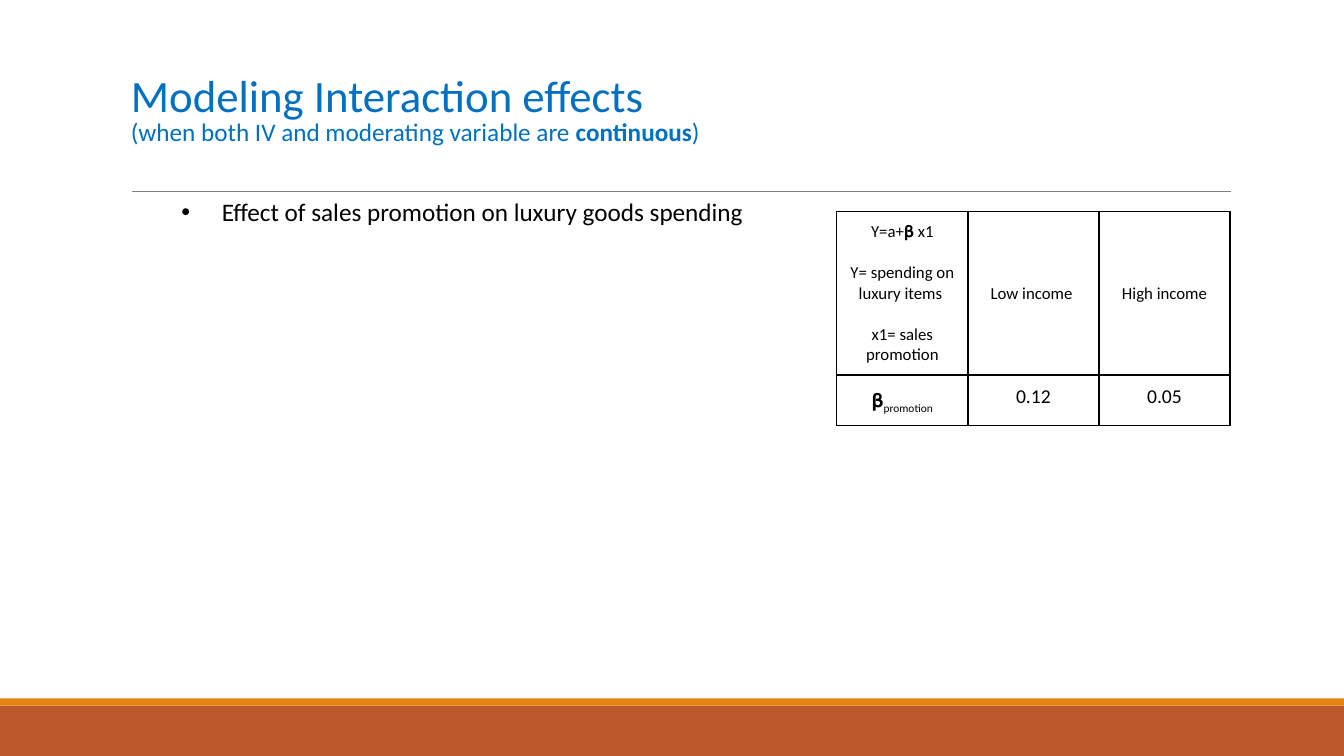
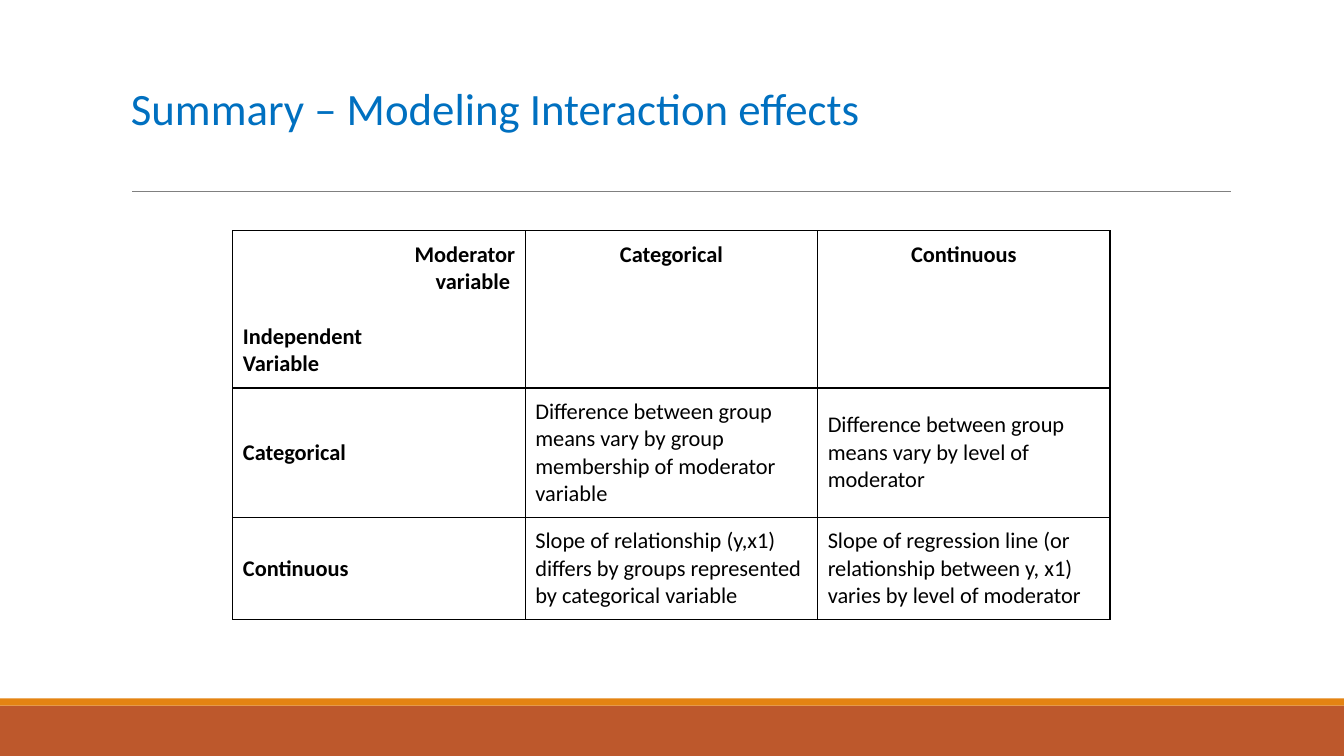
from dataclasses import dataclass

from lxml.etree import SubElement
from pptx import Presentation
from pptx.dml.color import RGBColor
from pptx.enum.shapes import MSO_CONNECTOR, MSO_SHAPE
from pptx.enum.text import MSO_ANCHOR, PP_ALIGN
from pptx.oxml.ns import qn
from pptx.util import Inches, Pt

COLORS = {
    "title": "0070C0",
    "text": "000000",
    "rule": "808080",
    "band": "BD582C",
    "stripe": "E48312",
    "border": "000000",
}
FONT = "Calibri"
SLIDE_WIDTH, SLIDE_HEIGHT = 13.33, 7.5
LEFT, CENTER, RIGHT = PP_ALIGN.LEFT, PP_ALIGN.CENTER, PP_ALIGN.RIGHT
TOP, MIDDLE = MSO_ANCHOR.TOP, MSO_ANCHOR.MIDDLE
BETA = "\U0001D6C3"


@dataclass(frozen=True)
class Span:
    text: str
    size: float
    bold: bool = False
    subscript: bool = False


@dataclass(frozen=True)
class Line:
    spans: tuple[Span, ...]
    align: PP_ALIGN = LEFT
    spacing: float = 1.0
    gap: float = 0  # points above the line
    indent: float = 0  # inches
    hanging: float = 0  # inches
    bullet: str = ""


@dataclass(frozen=True)
class Entry:
    lines: tuple[Line, ...]
    anchor: MSO_ANCHOR = MIDDLE


@dataclass(frozen=True)
class Grid:
    left: float
    top: float
    column_width: float
    row_heights: tuple[float, ...]
    rows: tuple[tuple[Entry, ...], ...]


def rgb(name: str) -> RGBColor:
    return RGBColor.from_string(COLORS[name])


def entry(text: str, size: float, bold: bool = False, align: PP_ALIGN = LEFT,
          anchor: MSO_ANCHOR = MIDDLE) -> Entry:
    return Entry((Line((Span(text, size, bold),), align),), anchor)


# Text
def write_line(paragraph, line: Line, color: str) -> None:
    paragraph.alignment = line.align
    paragraph.line_spacing = line.spacing
    paragraph.space_before = Pt(line.gap)
    properties = paragraph._p.get_or_add_pPr()
    if line.indent:
        properties.set("marL", str(Inches(line.indent)))
        properties.set("indent", str(-Inches(line.hanging)))
    if line.bullet:
        SubElement(properties, qn("a:buFont"), typeface="Arial")
        SubElement(properties, qn("a:buChar"), char=line.bullet)
    for span in line.spans:
        if span.text == "\n":
            paragraph.add_line_break()
            continue
        run = paragraph.add_run()
        run.text = span.text
        run.font.name = FONT
        run.font.size = Pt(span.size)
        run.font.bold = span.bold
        run.font.color.rgb = rgb(color)
        if span.subscript:
            run._r.get_or_add_rPr().set("baseline", "-25000")


def write_lines(frame, lines: tuple[Line, ...], color: str = "text") -> None:
    for index, line in enumerate(lines):
        paragraph = frame.add_paragraph() if index else frame.paragraphs[0]
        write_line(paragraph, line, color)


def add_text(slide, left: float, top: float, width: float, height: float,
             lines: tuple[Line, ...], color: str, anchor: MSO_ANCHOR,
             side_margin: float) -> None:
    frame = slide.shapes.add_textbox(
        Inches(left), Inches(top), Inches(width), Inches(height)).text_frame
    frame.word_wrap = True
    frame.vertical_anchor = anchor
    frame.margin_left = frame.margin_right = Inches(side_margin)
    write_lines(frame, lines, color)


# Shared frame of every slide
def add_band(slide, top: float, height: float, color: str) -> None:
    band = slide.shapes.add_shape(
        MSO_SHAPE.RECTANGLE, 0, Inches(top), Inches(SLIDE_WIDTH), Inches(height))
    band.shadow.inherit = False
    band.fill.solid()
    band.fill.fore_color.rgb = rgb(color)
    band.line.fill.background()


def add_titled_slide(deck, *title: Span):
    slide = deck.slides.add_slide(deck.slide_layouts[6])
    add_band(slide, 7, 0.5, "band")
    add_band(slide, 6.93, 0.07, "stripe")
    rule = slide.shapes.add_connector(
        MSO_CONNECTOR.STRAIGHT, Inches(1.31), Inches(1.9), Inches(12.21), Inches(1.9))
    rule.line.color.rgb = rgb("rule")
    rule.line.width = Pt(0.5)
    SubElement(rule._element.spPr, qn("a:effectLst"))
    add_text(slide, 1.2, 0.31, 11, 1.59, (Line(title, spacing=0.85),),
             "title", MIDDLE, 0.1)
    return slide


# Tables
def add_borders(cell) -> None:
    properties = cell._tc.get_or_add_tcPr()
    for side in ("lnL", "lnR", "lnT", "lnB"):
        border = SubElement(properties, qn(f"a:{side}"), w=str(Pt(1)))
        fill = SubElement(border, qn("a:solidFill"))
        SubElement(fill, qn("a:srgbClr"), val=COLORS["border"])


def add_grid(slide, grid: Grid) -> None:
    columns = len(grid.rows[0])
    table = slide.shapes.add_table(
        len(grid.rows), columns, Inches(grid.left), Inches(grid.top),
        Inches(grid.column_width * columns), Inches(sum(grid.row_heights))).table
    table.first_row = table.horz_banding = False
    for column in table.columns:
        column.width = Inches(grid.column_width)
    for row, height, entries in zip(table.rows, grid.row_heights, grid.rows):
        row.height = Inches(height)
        for cell, content in zip(row.cells, entries):
            cell.margin_left = cell.margin_right = Inches(0.1)
            cell.margin_top = cell.margin_bottom = Inches(0.1)
            cell.vertical_anchor = content.anchor
            add_borders(cell)
            cell.fill.background()
            write_lines(cell.text_frame, content.lines)


deck = Presentation()
deck.slide_width, deck.slide_height = Inches(SLIDE_WIDTH), Inches(SLIDE_HEIGHT)

# Slide 1: continuous variables
continuous = add_titled_slide(
    deck,
    Span("Modeling Interaction effects", 32),
    Span("\n", 32),
    Span("(when both IV and moderating variable are ", 18),
    Span("continuous", 18, bold=True),
    Span(") ", 18),
)
promotion_effect = Line(
    (Span("Effect of sales promotion on luxury goods spending", 18),),
    indent=1, hanging=0.4, bullet="•")
add_text(continuous, 1.2, 1.9, 7.02, 4.94, (promotion_effect,), "text", TOP, 0)

model = Entry((
    Line((Span(f"Y=a+{BETA} x1", 12),), CENTER),
    Line((Span("Y= spending on luxury items ", 12),), CENTER, gap=14.65),
    Line((Span("x1= sales promotion", 12),), CENTER, gap=14.65),
))
coefficient = Entry((
    Line((Span(BETA, 14), Span("promotion", 14, subscript=True)), CENTER, spacing=1.15),
), TOP)
add_grid(continuous, Grid(8.3, 2.1, 1.3, (1.62, 0.5), (
    (model, entry("Low income ", 12, align=CENTER), entry("High income", 12, align=CENTER)),
    (coefficient, *(entry(value, 14, align=CENTER, anchor=TOP) for value in ("0.12", "0.05"))),
)))

# Slide 2: summary
summary = add_titled_slide(deck, Span("Summary – Modeling Interaction effects ", 32))
variable_axes = Entry((
    Line((Span("Moderator variable ", 16, True),), RIGHT, indent=1),
    Line((Span("Independent ", 16, True),), gap=19.5),
    Line((Span("Variable", 16, True),)),
))
KINDS = ("Categorical", "Continuous")
FINDINGS = (
    ("Difference between group means vary by group membership of moderator variable",
     "Difference between group means vary by level of moderator"),
    ("Slope of relationship (y,x1) differs by groups represented by categorical variable ",
     "Slope of regression line (or relationship between y, x1) varies by level of moderator"),
)
add_grid(summary, Grid(2.31, 2.29, 2.9, (1.56, 1.28, 1.02), (
    (variable_axes, *(entry(kind, 16, True, CENTER, TOP) for kind in KINDS)),
    *((entry(kind, 16, True), *(entry(finding, 16) for finding in findings))
      for kind, findings in zip(KINDS, FINDINGS)),
)))

deck.save("out.pptx")
